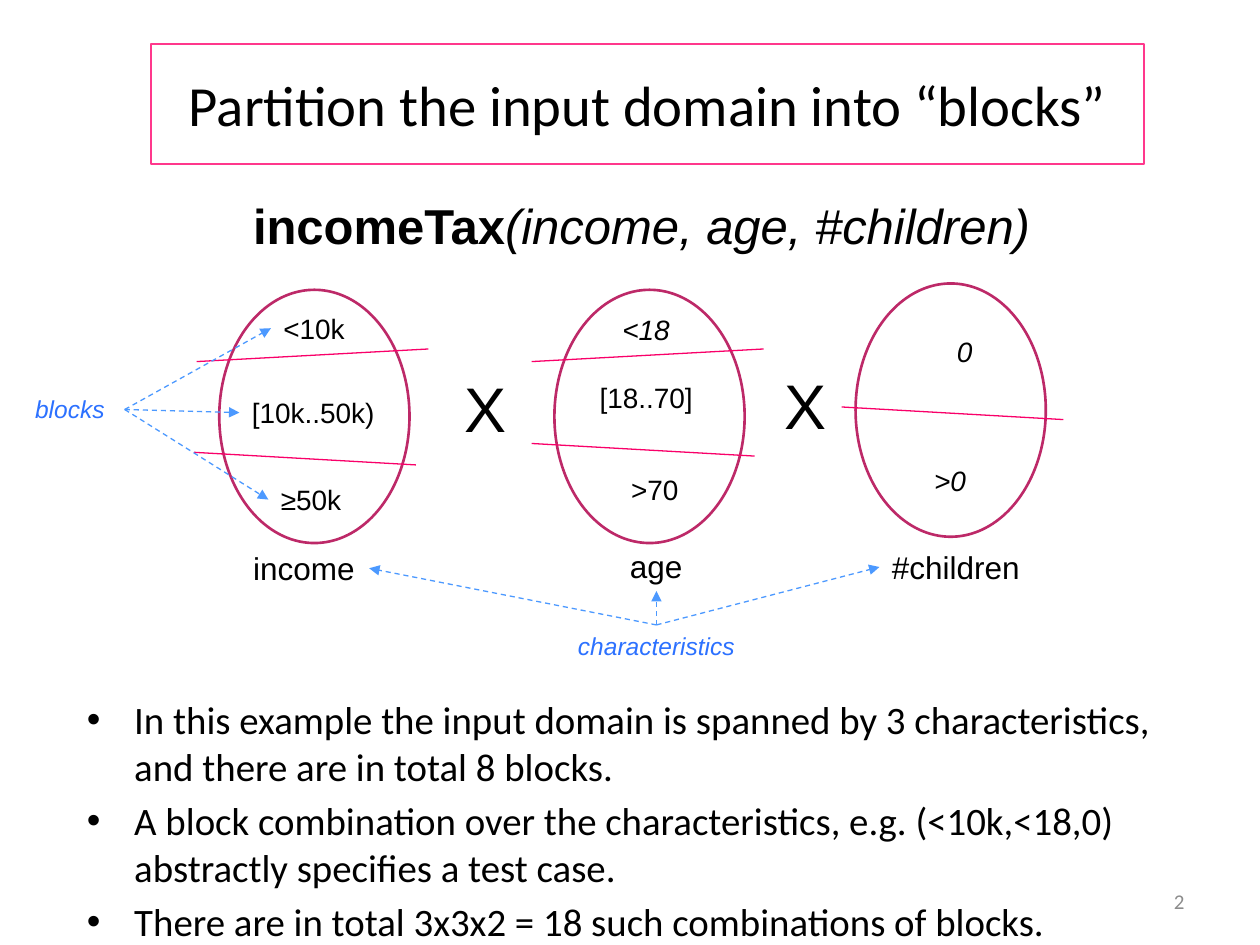
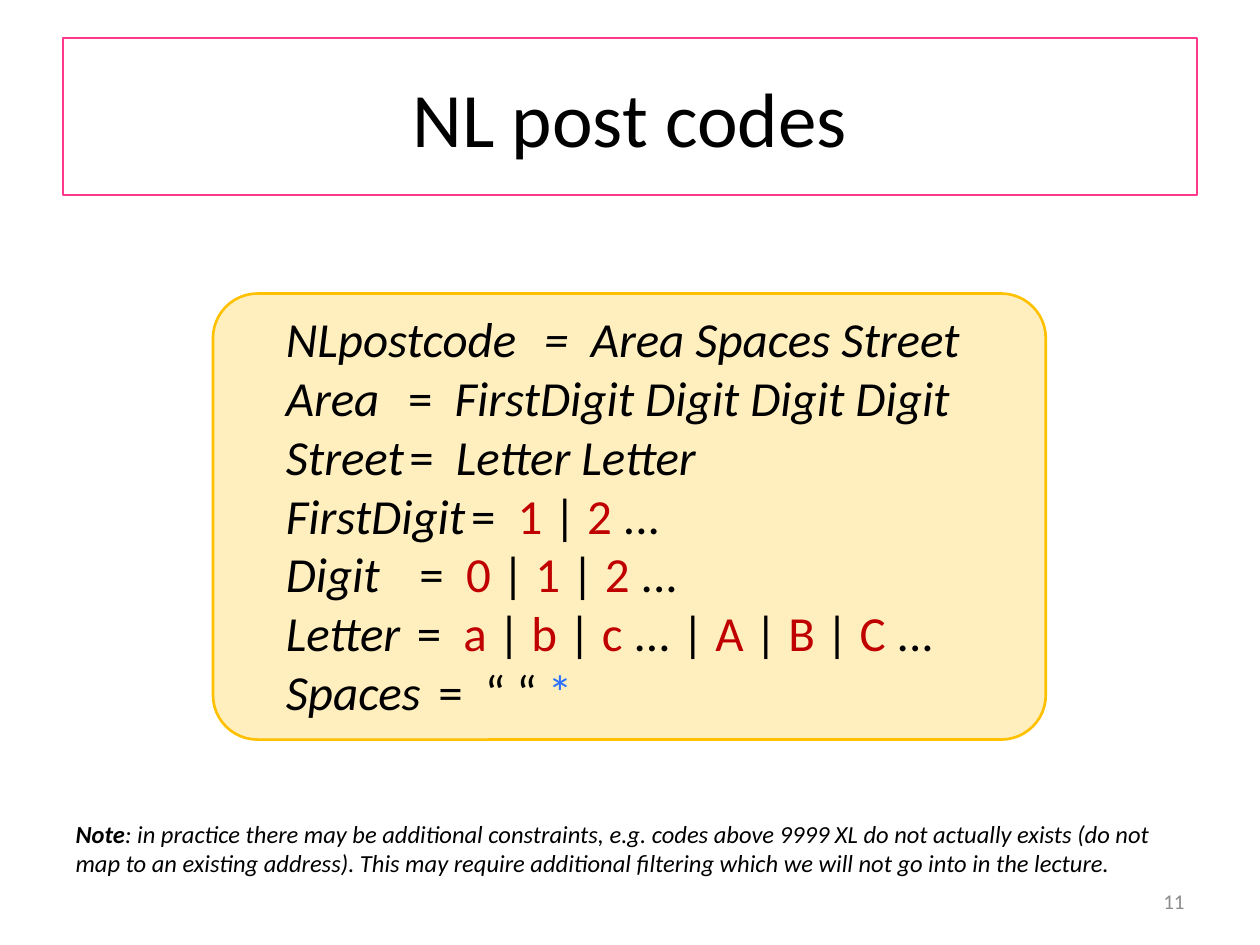
"""Build two slides on partitioning an input domain and on a post code grammar."""
from lxml.etree import SubElement
from pptx import Presentation
from pptx.dml.color import RGBColor
from pptx.enum.dml import MSO_LINE
from pptx.enum.shapes import MSO_CONNECTOR, MSO_SHAPE
from pptx.enum.text import MSO_ANCHOR, MSO_AUTO_SIZE, PP_ALIGN
from pptx.oxml.ns import qn
from pptx.util import Inches, Pt

BLACK = RGBColor(0, 0, 0)
GREY = RGBColor(0x8C, 0x8C, 0x8C)
PINK = RGBColor(0xFF, 0x38, 0x8C)
PLUM = RGBColor(0xBD, 0x29, 0x68)
ROSE = RGBColor(0xF9, 0x00, 0x69)
BLUE = RGBColor(0x2C, 0x71, 0xFF)
SKY = RGBColor(0x4C, 0x99, 0xFF)
GOLD = RGBColor(0xFF, 0xC0, 0x00)
RED = RGBColor(0xC0, 0x00, 0x00)


def label(slide, text, box, size, italic=None, color=BLACK, align=PP_ALIGN.LEFT, face="Arial"):
    shape = slide.shapes.add_textbox(*map(Inches, box))
    para = shape.text_frame.paragraphs[0]
    para.text = text
    para.alignment = align
    font = para.font
    font.name, font.size, font.italic = face, Pt(size), italic
    font.color.rgb = color
    return shape


def rule(slide, color, start=(0, 0), end=(0, 0)):
    line = slide.shapes.add_connector(MSO_CONNECTOR.STRAIGHT, *map(Inches, start + end))
    line.line.color.rgb = color
    line.line.width = Pt(0.75)
    SubElement(line.element.spPr, qn("a:effectLst"))
    return line


deck = Presentation()
deck.slide_width, deck.slide_height = Inches(10), Inches(7.5)

slides = []
for title, place, size, room, number in [
    ("Partition the input domain into “blocks”", (1.2, 0.35, 7.88, 0.95), 32.4, (0.59, 5.47, 9.06, 1.77), "2"),
    ("NL post codes", (0.5, 0.3, 9, 1.25), 44, (0.5, 6.45, 9, 1), "11"),
]:
    slide = deck.slides.add_slide(deck.slide_layouts[1])
    head, body = slide.placeholders
    for holder, box in ((head, place), (body, room)):
        holder.left, holder.top, holder.width, holder.height = map(Inches, box)
        holder.text_frame.auto_size = MSO_AUTO_SIZE.NONE
    head.line.color.rgb = PINK
    head.line.width = Pt(1)
    head.text_frame.text = title
    head.text_frame.vertical_anchor = MSO_ANCHOR.MIDDLE
    para = head.text_frame.paragraphs[0]
    para.alignment = PP_ALIGN.CENTER
    para.font.name, para.font.size = "Calibri", Pt(size)
    para.font.color.rgb = BLACK
    foot = label(slide, number, (7.17, 6.95, 2.33, 0.4), 12, color=GREY, align=PP_ALIGN.RIGHT, face="Calibri")
    foot.text_frame.word_wrap = True
    foot.text_frame.vertical_anchor = MSO_ANCHOR.MIDDLE
    slides.append((slide, body))

slide, body = slides[0]
body.text_frame.text = "\n".join([
    "In this example the input domain is spanned by 3 characteristics, and there are in total 8 blocks.",
    "A block combination over the characteristics, e.g. (<10k,<18,0) abstractly specifies a test case.",
    "There are in total 3x3x2 = 18 such combinations of blocks.",
])
for para in body.text_frame.paragraphs:
    para.font.name, para.font.size = "Calibri", Pt(22.2)
    para.font.color.rgb = BLACK
body.text_frame.paragraphs[0].space_before = Pt(0)

call = label(slide, "", (1.91, 1.5, 6.45, 0.57), 28).text_frame.paragraphs[0]
name, args = call.add_run(), call.add_run()
name.text, name.font.bold = "incomeTax", True
args.text, args.font.italic = "(income, age, #children)", True

for left, top in ((1.74, 2.3), (4.4, 2.3), (6.79, 2.25)):
    oval = slide.shapes.add_shape(MSO_SHAPE.OVAL, *map(Inches, (left, top, 1.51, 2.01)))
    oval.shadow.inherit = False
    oval.fill.background()
    oval.line.color.rgb = PLUM
    oval.line.width = Pt(1.5)

for start, end in [
    ((1.56, 2.87), (3.4, 2.77)), ((1.54, 3.59), (3.3, 3.69)),
    ((4.22, 2.87), (6.06, 2.77)), ((4.22, 3.52), (5.99, 3.62)),
    ((6.68, 3.23), (8.44, 3.33)),
]:
    rule(slide, ROSE, start, end)

for left, top in ((3.59, 2.88), (6.13, 2.86)):
    label(slide, "X", (left, top, 0.46, 0.71), 36)

low = label(slide, "<10k", (2.15, 2.42, 0.69, 0.37), 16)
mid = label(slide, "[10k..50k)", (1.9, 3.09, 1.19, 0.37), 16)
high = label(slide, "≥50k", (2.13, 3.78, 0.69, 0.37), 16)
label(slide, "<18", (4.84, 2.43, 0.58, 0.37), 16, True)
label(slide, "[18..70]", (4.66, 2.97, 0.95, 0.37), 16)
label(slide, ">70", (4.91, 3.7, 0.58, 0.37), 16)
label(slide, "0", (7.42, 2.61, 0.47, 0.37), 16, True, align=PP_ALIGN.CENTER)
label(slide, ">0", (6.83, 3.63, 1.42, 0.37), 16, True, align=PP_ALIGN.CENTER)
income = label(slide, "income", (1.91, 4.31, 1.02, 0.4), 18)
age = label(slide, "age", (4.9, 4.29, 0.62, 0.4), 18)
kids = label(slide, "#children", (6.98, 4.3, 1.23, 0.4), 18)
traits = label(slide, "characteristics", (4.29, 4.96, 1.84, 0.34), 14, True, BLUE, PP_ALIGN.CENTER)
blocks = label(slide, "blocks", (0.12, 3.08, 0.87, 0.34), 14, True, BLUE, PP_ALIGN.CENTER)

for source, out, target, side in [
    (traits, 0, age, 2), (traits, 0, kids, 1), (traits, 0, income, 3),
    (blocks, 3, mid, 1), (blocks, 3, low, 1), (blocks, 3, high, 1),
]:
    arrow = rule(slide, SKY)
    arrow.begin_connect(source, out)
    arrow.end_connect(target, side)
    arrow.line.dash_style = MSO_LINE.DASH
    SubElement(arrow.line._get_or_add_ln(), qn("a:tailEnd"), type="triangle")

slide, body = slides[1]
para = body.text_frame.paragraphs[0]
props = para._p.get_or_add_pPr()
props.set("marL", "0")
props.set("indent", "0")
para.space_before = Pt(0)
SubElement(props, qn("a:buNone"))
para.font.name, para.font.size, para.font.italic = "Calibri", Pt(14), True
para.font.color.rgb = BLACK
note, rest = para.add_run(), para.add_run()
note.text, note.font.bold = "Note", True
rest.text = (
    ": in practice there may be additional constraints, e.g. codes above 9999 XL do not actually exists "
    "(do not map to an existing address). This may require additional filtering which we will not go into "
    "in the lecture."
)

panel = slide.shapes.add_shape(MSO_SHAPE.ROUNDED_RECTANGLE, *map(Inches, (1.69, 2.33, 6.61, 3.54)))
panel.adjustments[0] = 0.1
panel.shadow.inherit = False
panel.fill.solid()
panel.fill.fore_color.rgb = GOLD
tint = panel.element.spPr.find(qn("a:solidFill")).find(qn("a:srgbClr"))
SubElement(tint, qn("a:alpha"), val="25000")
panel.line.color.rgb = GOLD
panel.line.width = Pt(1.5)

frame = slide.shapes.add_textbox(*map(Inches, (2.17, 2.4, 5.65, 3.4))).text_frame
frame.word_wrap = True
for row, (name, stop, terms) in enumerate([
    ("NLpostcode", 2.05, "Area Spaces Street"),
    ("Area", 0.97, "FirstDigit Digit Digit Digit"),
    ("Street", 0.98, "Letter Letter"),
    ("FirstDigit", 1.47, "1 | 2 ..."),
    ("Digit", 1.06, "0 | 1 | 2 ..."),
    ("Letter", 1.04, "a | b | c ... | A | B | C ..."),
    ("Spaces", 1.21, "“ “ *"),
]):
    para = frame.add_paragraph() if row else frame.paragraphs[0]
    tabs = SubElement(para._p.get_or_add_pPr(), qn("a:tabLst"))
    for spot in (stop, stop + 0.37):
        SubElement(tabs, qn("a:tab"), pos=str(Inches(spot)), algn="l")
    para.font.name, para.font.size = "Calibri", Pt(28)
    para.font.color.rgb = BLACK
    parts = [(name, True, None), ("\t=\t", row == 0, None)]
    for spot, term in enumerate(terms.split()):
        ink = BLUE if term == "*" else RED if len(term) == 1 and term.isalnum() else None
        parts.append((" " * (spot > 0) + term, len(term) > 3, ink))
    for text, italic, ink in parts:
        run = para.add_run()
        run.text, run.font.italic = text, italic
        if ink:
            run.font.color.rgb = ink

deck.save("out.pptx")
